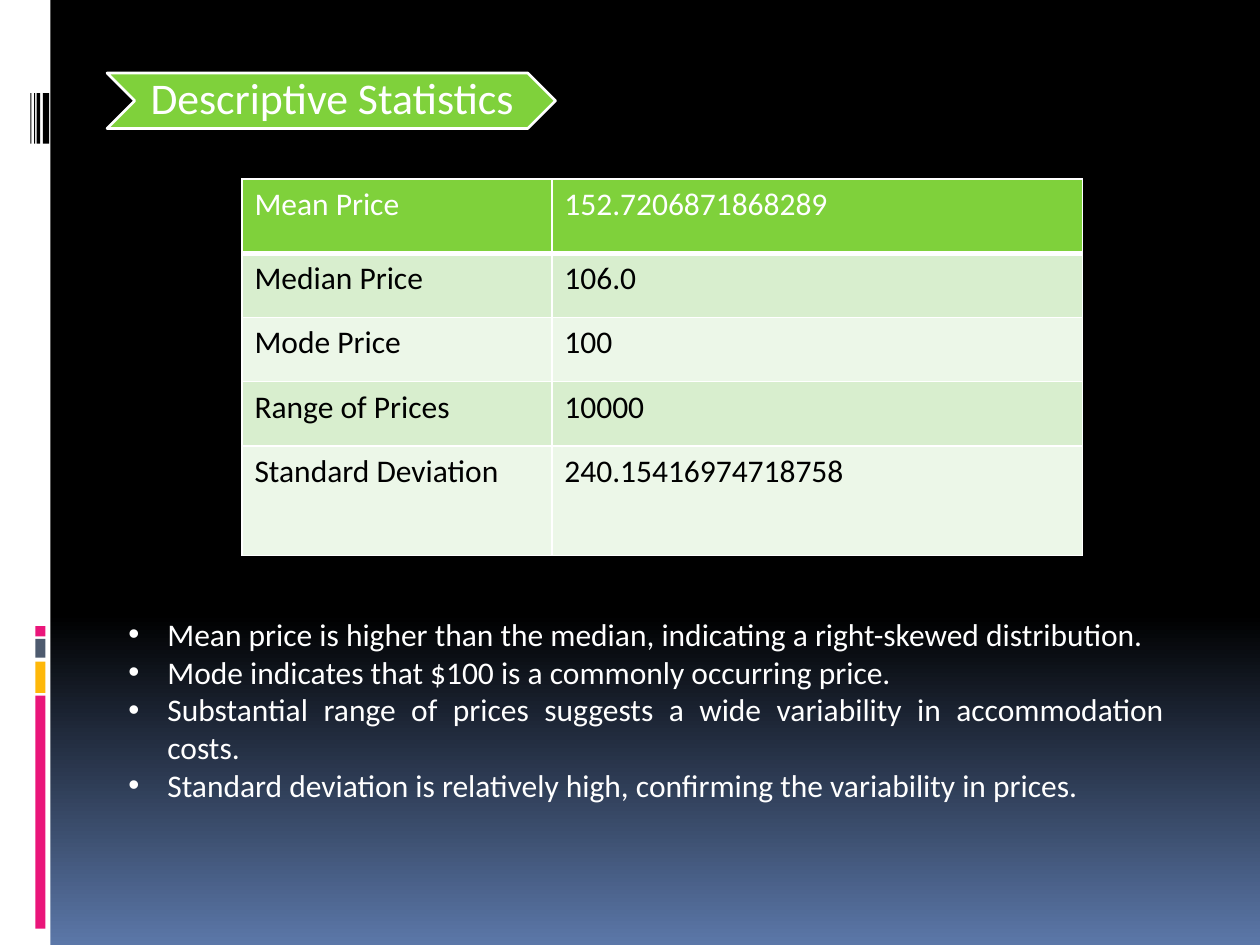
import copy
from dataclasses import dataclass

import pptx
import pptx.dml.color
import pptx.enum.shapes
import pptx.enum.text
import pptx.oxml
import pptx.oxml.ns
import pptx.util

Inches = pptx.util.Inches
Pt = pptx.util.Pt
Kind = pptx.enum.shapes.MSO_SHAPE
Align = pptx.enum.text.PP_ALIGN
Anchor = pptx.enum.text.MSO_ANCHOR
qn = pptx.oxml.ns.qn


@dataclass(frozen=True)
class Theme:
    font: str = "Calibri"
    title: int = 25
    body: int = 18
    white: str = "FFFFFF"
    black: str = "000000"
    green: str = "7FD13B"
    dark: str = "D8EECE"
    light: str = "ECF7E8"
    pink: str = "EA157A"
    gold: str = "FEB80A"
    slate: str = "4E5B6F"
    blue: str = "5B77A8"


THEME = Theme()

STATS = [
    ("Mean Price", "152.7206871868289"),
    ("Median Price", "106.0"),
    ("Mode Price", "100"),
    ("Range of Prices", "10000"),
    ("Standard Deviation", "240.15416974718758"),
]
COLS = [2.46, 4.21]
ROWS = [0.59, 0.51, 0.51, 0.51, 0.87]

NOTES = [
    "Mean price is higher than the median, indicating a right-skewed distribution.",
    "Mode indicates that $100 is a commonly occurring price.",
    "Substantial range of prices suggests a wide variability in accommodation costs.",
    "Standard deviation is relatively high, confirming the variability in prices.",
]


def rgb(code):
    return pptx.dml.color.RGBColor.from_string(code)


def style(para, size, color):
    para.font.name = THEME.font
    para.font.size = Pt(size)
    para.font.color.rgb = rgb(color)


def add_back(slide):
    """Fade from black, held for the top 65 %, to blue at the foot."""
    fill = slide.background.fill
    fill.gradient()
    fill.gradient_angle = 270
    first = slide.element.find(".//" + qn("a:gs"))
    first.addnext(copy.deepcopy(first))
    stops = [(0, THEME.black), (0.65, THEME.black), (1, THEME.blue)]
    for stop, (place, color) in zip(fill.gradient_stops, stops):
        stop.position = place
        stop.color.rgb = rgb(color)


def add_block(slide, box, color, kind=Kind.RECTANGLE, line=None):
    shape = slide.shapes.add_shape(kind, *map(Inches, box))
    shape.shadow.inherit = False
    shape.fill.solid()
    shape.fill.fore_color.rgb = rgb(color)
    if line:
        shape.line.color.rgb = rgb(line)
        shape.line.width = Pt(1.5)
    else:
        shape.line.fill.background()


def add_side(slide):
    """White strip with a stack of colour bars and a barcode."""
    add_block(slide, (0, 0, 0.4, 7.5), THEME.white)
    bars = [(5.52, 1.85, THEME.pink), (5.25, 0.25, THEME.gold),
            (5.07, 0.15, THEME.slate), (4.97, 0.08, THEME.pink)]
    for top, height, color in bars:
        add_block(slide, (0.28, top, 0.08, height), color)
    for left, width in [(0.34, 0.05), (0.29, 0.03), (0.27, 0.01), (0.24, 0.01)]:
        add_block(slide, (left, 0.74, width, 0.4), THEME.black)


def add_frame(slide, box):
    frame = slide.shapes.add_textbox(*map(Inches, box)).text_frame
    frame.word_wrap = True
    return frame


def add_title(slide, text):
    add_block(slide, (0.85, 0.58, 3.56, 0.44), THEME.green, Kind.CHEVRON, THEME.white)
    frame = add_frame(slide, (1.06, 0.58, 3.12, 0.44))
    frame.vertical_anchor = Anchor.MIDDLE
    frame.margin_left = Inches(0.03)
    frame.margin_right = 0
    frame.margin_top = frame.margin_bottom = Inches(0.02)
    para = frame.paragraphs[0]
    para.text = text
    para.alignment = Align.CENTER
    para.line_spacing = 0.9
    style(para, THEME.title, THEME.white)


def add_edges(cell, foot):
    """Draw white cell borders, the lower one foot points wide."""
    props = cell._tc.get_or_add_tcPr()
    widths = [("lnL", 1), ("lnR", 1), ("lnT", 1), ("lnB", foot)]
    for spot, (tag, width) in enumerate(widths):
        props.insert(spot, pptx.oxml.parse_xml(
            f'<a:{tag} {pptx.oxml.ns.nsdecls("a")} w="{Pt(width)}"><a:solidFill>'
            f'<a:srgbClr val="{THEME.white}"/></a:solidFill></a:{tag}>'))


def add_stats(slide):
    box = (1.92, 1.42, sum(COLS), sum(ROWS))
    table = slide.shapes.add_table(len(ROWS), len(COLS), *map(Inches, box)).table
    for col, width in zip(table.columns, COLS):
        col.width = Inches(width)
    for i, (row, height) in enumerate(zip(table.rows, ROWS)):
        row.height = Inches(height)
        head = i == 0
        fill = THEME.green if head else THEME.dark if i % 2 else THEME.light
        for cell, text in zip(row.cells, STATS[i]):
            cell.fill.solid()
            cell.fill.fore_color.rgb = rgb(fill)
            add_edges(cell, 3 if head else 1)
            para = cell.text_frame.paragraphs[0]
            para.text = text
            style(para, THEME.body, THEME.white if head else THEME.black)
            para.font.bold = False


def add_bullet(para):
    props = para._p.get_or_add_pPr()
    props.set("marL", str(Inches(0.31)))
    props.set("indent", str(Inches(-0.31)))
    ns = pptx.oxml.ns.nsdecls("a")
    props.append(pptx.oxml.parse_xml(f'<a:buFont {ns} typeface="Arial"/>'))
    props.append(pptx.oxml.parse_xml(f'<a:buChar {ns} char="•"/>'))


def add_notes(slide):
    frame = add_frame(slide, (0.92, 4.83, 8.42, 1.62))
    for i, text in enumerate(NOTES):
        para = frame.add_paragraph() if i else frame.paragraphs[0]
        para.text = text
        para.alignment = Align.JUSTIFY
        add_bullet(para)
        style(para, THEME.body, THEME.white)


def main():
    deck = pptx.Presentation()
    deck.slide_width = Inches(10)
    deck.slide_height = Inches(7.5)
    slide = deck.slides.add_slide(deck.slide_layouts[6])
    add_back(slide)
    add_side(slide)
    add_title(slide, "Descriptive Statistics")
    add_notes(slide)
    add_stats(slide)
    deck.save("out.pptx")


if __name__ == "__main__":
    main()
